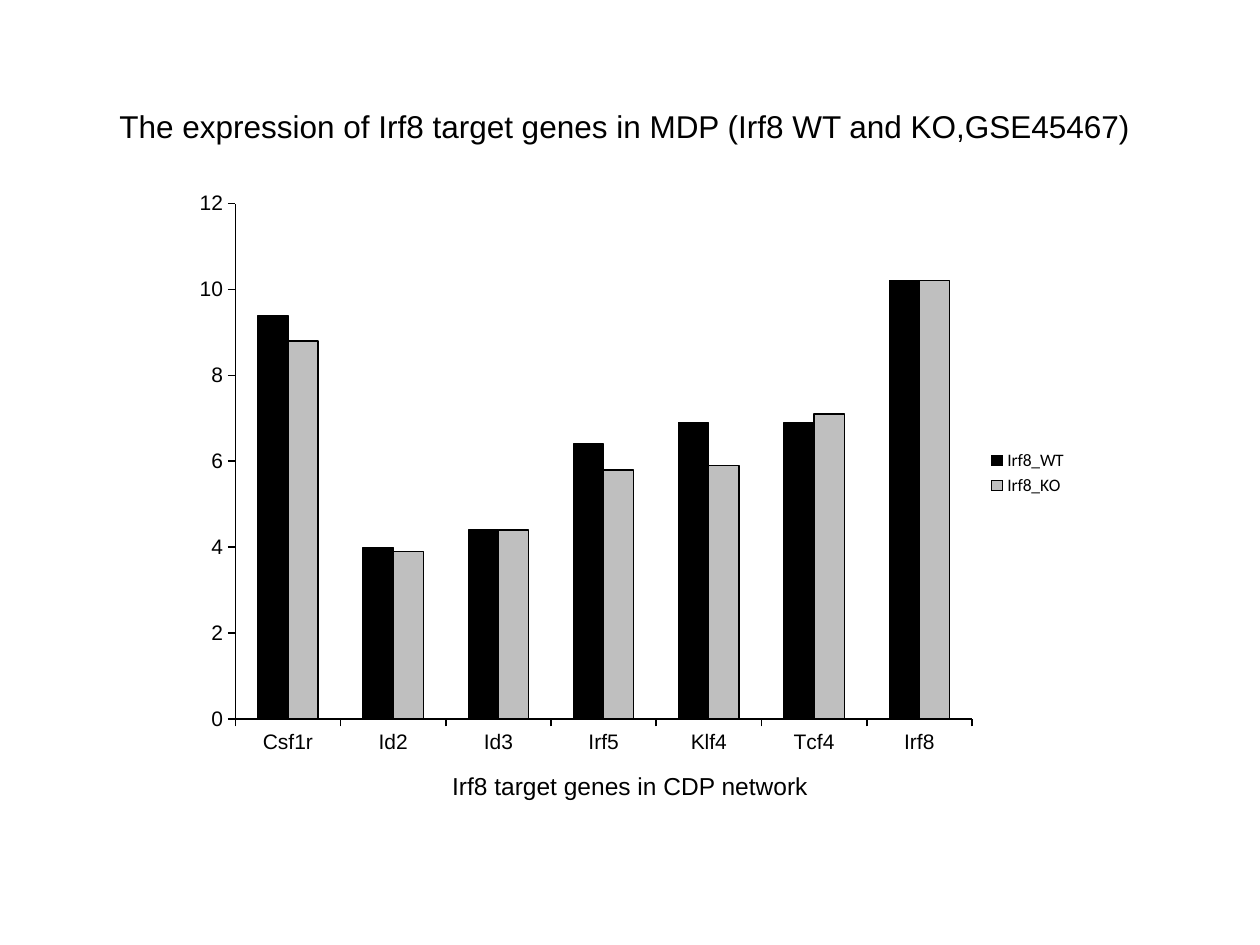
import dataclasses

import pptx
import pptx.chart.data
import pptx.dml.color
import pptx.enum.chart
import pptx.enum.text
import pptx.oxml
import pptx.oxml.ns
import pptx.util

Inches = pptx.util.Inches
Pt = pptx.util.Pt

COLOURS = {"ink": "000000", "knockout": "BFBFBF"}


@dataclasses.dataclass
class Caption:
    text: str
    left: float
    top: float
    width: float
    height: float
    size: int


@dataclasses.dataclass
class Genotype:
    name: str
    expression: list[float]
    colour: str


CAPTIONS = [
    Caption("The expression of Irf8 target genes in MDP (Irf8 WT and KO,GSE45467)",
            0.85, 0.8, 8.3, 0.4, 18),
    Caption("Irf8 target genes in CDP network", 3.49, 6.07, 3.06, 0.34, 14),
]
GENES = ["Csf1r", "Id2", "Id3", "Irf5", "Klf4", "Tcf4", "Irf8"]
GENOTYPES = [
    Genotype("Irf8_WT", [9.4, 4, 4.4, 6.4, 6.9, 6.9, 10.2], "ink"),
    Genotype("Irf8_KO", [8.8, 3.9, 4.4, 5.8, 5.9, 7.1, 10.2], "knockout"),
]
PLOT_AREA = {"x": 0.06, "y": 0.04, "w": 0.82, "h": 0.88}  # fractions of the chart
AXIS_FORMAT = {
    "has_major_gridlines": False,
    "has_minor_gridlines": False,
    "major_tick_mark": pptx.enum.chart.XL_TICK_MARK.OUTSIDE,
    "minor_tick_mark": pptx.enum.chart.XL_TICK_MARK.NONE,
}
SCALE = {"minimum_scale": 0, "maximum_scale": 12, "major_unit": 2}


def set_attributes(target: object, values: dict) -> None:
    for name, value in values.items():
        setattr(target, name, value)


def rgb(colour: str) -> pptx.dml.color.RGBColor:
    return pptx.dml.color.RGBColor.from_string(COLOURS[colour])


def style_font(font, name: str, size: int) -> None:
    set_attributes(font, {"name": name, "size": Pt(size), "bold": False})
    font.color.rgb = rgb("ink")


def style_line(line, width: float) -> None:
    line.color.rgb = rgb("ink")
    line.width = Pt(width)


def add_caption(slide, caption: Caption) -> None:
    box = slide.shapes.add_textbox(Inches(caption.left), Inches(caption.top),
                                   Inches(caption.width), Inches(caption.height))
    frame = box.text_frame
    frame.word_wrap = False
    frame.auto_size = pptx.enum.text.MSO_AUTO_SIZE.SHAPE_TO_FIT_TEXT
    run = frame.paragraphs[0].add_run()
    run.text = caption.text
    style_font(run.font, "Arial", caption.size)


def place_plot_area(chart) -> None:
    fractions = "".join(f'<c:{key} val="{value}"/>' for key, value in PLOT_AREA.items())
    layout = pptx.oxml.parse_xml(
        f'<c:layout {pptx.oxml.ns.nsdecls("c")}><c:manualLayout>'
        '<c:layoutTarget val="inner"/><c:xMode val="edge"/><c:yMode val="edge"/>'
        f'{fractions}</c:manualLayout></c:layout>')
    plot_area = chart.plots[0]._element.getparent()
    for previous in plot_area.findall(pptx.oxml.ns.qn("c:layout")):
        plot_area.remove(previous)
    plot_area.insert(0, layout)


def add_expression_chart(slide) -> None:
    expression = pptx.chart.data.CategoryChartData()
    expression.categories = GENES
    for genotype in GENOTYPES:
        expression.add_series(genotype.name, genotype.expression)
    chart = slide.shapes.add_chart(
        pptx.enum.chart.XL_CHART_TYPE.COLUMN_CLUSTERED,
        Inches(1.44), Inches(1.43), Inches(7.13), Inches(4.65), expression).chart
    set_attributes(chart, {"has_title": False, "has_legend": True})
    style_font(chart.font, "Calibri", 10)
    set_attributes(chart.legend, {
        "position": pptx.enum.chart.XL_LEGEND_POSITION.RIGHT, "include_in_layout": False})
    place_plot_area(chart)

    # Paired bars
    bars = chart.plots[0]
    set_attributes(bars, {"gap_width": 150, "overlap": 0, "vary_by_categories": False})
    for series, genotype in zip(bars.series, GENOTYPES):
        series.format.fill.solid()
        series.format.fill.fore_color.rgb = rgb(genotype.colour)
        style_line(series.format.line, 0.75)

    # Axes
    for axis in (chart.category_axis, chart.value_axis):
        set_attributes(axis, AXIS_FORMAT)
        style_font(axis.tick_labels.font, "Arial", 12)
        style_line(axis.format.line, 1)
    set_attributes(chart.value_axis, SCALE)


def main() -> None:
    presentation = pptx.Presentation()
    set_attributes(presentation, {"slide_width": Inches(10), "slide_height": Inches(7.5)})
    slide = presentation.slides.add_slide(presentation.slide_layouts[6])

    # Heading and axis caption
    for caption in CAPTIONS:
        add_caption(slide, caption)

    # Expression per gene
    add_expression_chart(slide)
    presentation.save("out.pptx")


if __name__ == "__main__":
    main()
